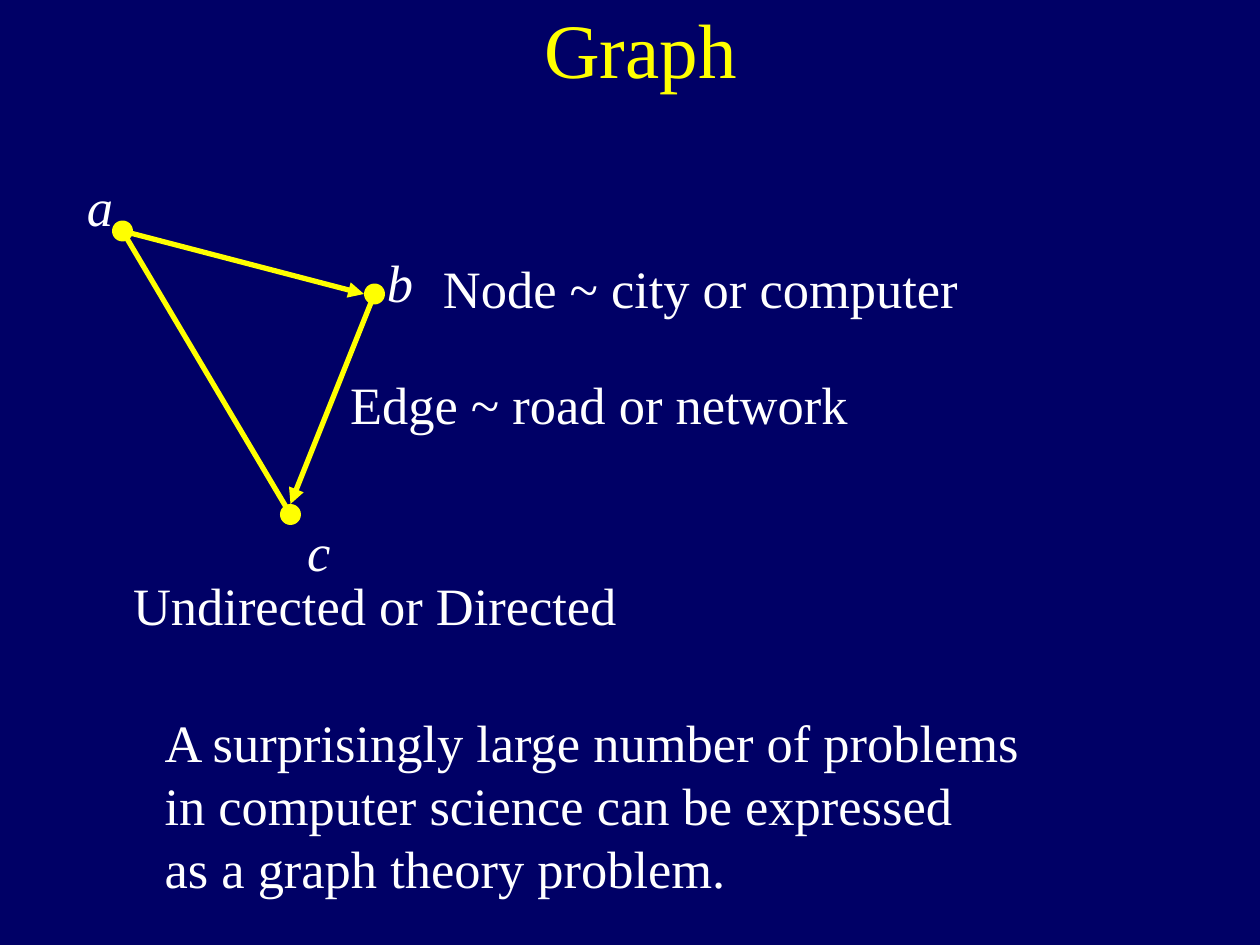
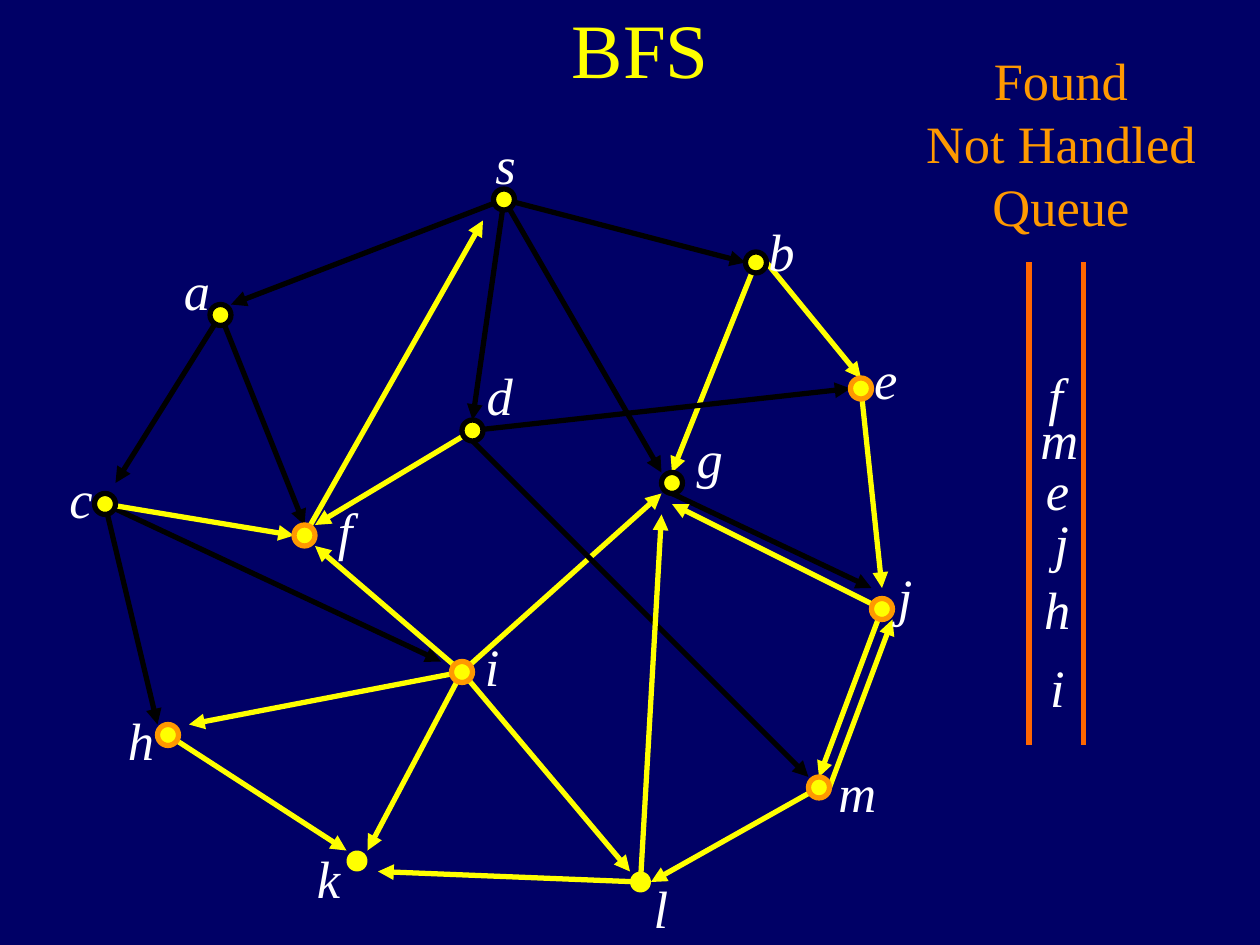
from lxml import etree
from pptx import Presentation
from pptx.dml.color import RGBColor
from pptx.enum.shapes import MSO_CONNECTOR, MSO_SHAPE
from pptx.enum.text import MSO_ANCHOR, PP_ALIGN
from pptx.oxml.ns import qn
from pptx.util import Pt

NAVY = RGBColor(0x00, 0x00, 0x66)
YELLOW = RGBColor(0xFF, 0xFF, 0x00)
WHITE = RGBColor(0xFF, 0xFF, 0xFF)
BLACK = RGBColor(0x00, 0x00, 0x00)
ORANGE = RGBColor(0xFF, 0x99, 0x00)
DARK_ORANGE = RGBColor(0xFF, 0x66, 0x00)

FONT = "Times New Roman"
RADIUS = 6
LABEL_WIDTHS = {"s": 26, "m": 36} | dict.fromkeys("abdgh", 29.4)
LABEL_WIDTHS |= dict.fromkeys("cek", 27.6) | dict.fromkeys("fijl", 22.5)


def add_text(slide, text, left, top, width, height=43.2, size=30, color=WHITE,
             italic=False, align=PP_ALIGN.LEFT, wrap=False):
    frame = slide.shapes.add_textbox(Pt(left), Pt(top), Pt(width), Pt(height)).text_frame
    frame.word_wrap = wrap
    frame.vertical_anchor = MSO_ANCHOR.MIDDLE if wrap else MSO_ANCHOR.TOP
    paragraph = frame.paragraphs[0]
    paragraph.text = text
    paragraph.alignment = align
    if not wrap:
        paragraph.line_spacing = Pt(1.2 * size)
    font = paragraph.font
    font.name, font.size, font.italic = FONT, Pt(size), italic
    font.color.rgb = color


def add_line(slide, start, end, color, arrow=False):
    line = slide.shapes.add_connector(
        MSO_CONNECTOR.STRAIGHT, *(Pt(value) for value in (*start, *end)))
    line.line.color.rgb = color
    line.line.width = Pt(3)
    if arrow:
        etree.SubElement(line.line._get_or_add_ln(), qn("a:tailEnd"), type="triangle")
    etree.SubElement(line._element.spPr, qn("a:effectLst"))


# Nodes: centre, ring colour, top left of the label.
# Edges: from, to, colour, arrow, offset of the end and of the start from the node centre.
intro_nodes = {
    "a": ((70, 132), None, (42.5, 96)),
    "b": ((214, 168), None, (214, 139.5)),
    "c": ((166, 294), None, (168.5, 293)),
}
intro_edges = [
    ("a", "c", YELLOW, False, (0, 0), (0, 0)),
    ("a", "b", YELLOW, True, (-6, 0), (0, 0)),
    ("b", "c", YELLOW, True, (0, -6), (0, 0)),
]
bfs_nodes = {
    "s": ((288, 114), BLACK, (276, 72)),
    "a": ((126, 180), BLACK, (98, 144)),
    "b": ((432, 150), BLACK, (432, 121.5)),
    "c": ((60, 288), BLACK, (32.5, 263)),
    "d": ((270, 246), BLACK, (271, 204)),
    "e": ((492, 222), ORANGE, (492.5, 195)),
    "f": ((174, 306), ORANGE, (186, 281)),
    "g": ((384, 276), BLACK, (391, 240)),
    "h": ((96, 420), ORANGE, (66, 401)),
    "i": ((264, 384), ORANGE, (270, 358.5)),
    "j": ((504, 348), ORANGE, (506, 319)),
    "k": ((204, 492), None, (174, 480)),
    "l": ((366, 504), None, (366.5, 497)),
    "m": ((468, 450), ORANGE, (472, 430.5)),
}
bfs_edges = [
    ("s", "a", BLACK, True, (6, -6), (0, 0)),
    ("s", "d", BLACK, True, (0, -6), (0, 0)),
    ("s", "g", BLACK, True, (-6, -6), (0, 0)),
    ("s", "b", BLACK, True, (-6, 0), (0, 0)),
    ("b", "g", YELLOW, True, (0, -6), (0, 0)),
    ("i", "g", YELLOW, True, (-6, 6), (0, 0)),
    ("d", "e", BLACK, True, (-6, 0), (0, 0)),
    ("b", "e", YELLOW, True, (0, -6), (6, 0)),
    ("g", "j", BLACK, True, (-6, -12), (0, 6)),
    ("e", "j", YELLOW, True, (0, -12), (0, 0)),
    ("d", "m", BLACK, True, (-6, -6), (0, 6)),
    ("d", "f", YELLOW, True, (6, -6), (0, 0)),
    ("a", "f", BLACK, True, (0, -6), (0, 0)),
    ("a", "c", BLACK, True, (6, -12), (0, 0)),
    ("c", "i", BLACK, True, (-12, -6), (0, 0)),
    ("i", "k", YELLOW, True, (6, -6), (0, 0)),
    ("i", "l", YELLOW, True, (-6, -6), (0, 0)),
    ("i", "h", YELLOW, True, (12, -6), (0, 0)),
    ("m", "l", YELLOW, True, (6, 0), (0, 0)),
    ("m", "j", YELLOW, True, (6, 6), (6, 0)),
    ("j", "g", YELLOW, True, (0, 12), (0, 0)),
    ("i", "f", YELLOW, True, (6, 6), (0, 0)),
    ("j", "m", YELLOW, True, (0, -6), (0, 0)),
    ("l", "g", YELLOW, True, (-6, 18), (0, 0)),
    ("l", "k", YELLOW, True, (12, 6), (0, 0)),
    ("f", "s", YELLOW, True, (-12, 12), (0, 0)),
    ("h", "k", YELLOW, True, (-6, -6), (0, 0)),
    ("c", "h", BLACK, True, (-6, -6), (0, 0)),
    ("c", "f", YELLOW, True, (-6, 0), (0, 0)),
]

prs = Presentation()
prs.slide_width, prs.slide_height = Pt(720), Pt(540)

for title, nodes, edges in [("Graph", intro_nodes, intro_edges), ("BFS", bfs_nodes, bfs_edges)]:
    slide = prs.slides.add_slide(prs.slide_layouts[6])
    slide.background.fill.solid()
    slide.background.fill.fore_color.rgb = NAVY
    add_text(slide, title, 60, -18, 612, 90, size=44, color=YELLOW,
             align=PP_ALIGN.CENTER, wrap=True)

    for source, target, color, arrow, end_offset, start_offset in edges:
        (x1, y1), (x2, y2) = nodes[source][0], nodes[target][0]
        add_line(slide, (x1 + start_offset[0], y1 + start_offset[1]),
                 (x2 + end_offset[0], y2 + end_offset[1]), color, arrow)

    for letter, ((x, y), ring, label_corner) in nodes.items():
        dot = slide.shapes.add_shape(MSO_SHAPE.OVAL, Pt(x - RADIUS), Pt(y - RADIUS),
                                     Pt(2 * RADIUS), Pt(2 * RADIUS))
        dot.shadow.inherit = False
        dot.fill.solid()
        dot.fill.fore_color.rgb = YELLOW
        if ring is None:
            dot.line.fill.background()
        else:
            dot.line.color.rgb = ring
            dot.line.width = Pt(3)
        add_text(slide, letter, *label_corner, LABEL_WIDTHS[letter], italic=True)

intro, bfs = prs.slides

# Meaning of the graph
add_text(intro, "Node ~ city or computer", 246, 142.5, 309)
add_text(intro, "Edge ~ road or network", 193, 209, 299)
add_text(intro, "Undirected or Directed", 69, 324, 291)
add_text(intro, "A surprisingly large number of problems\v"
                "in computer science can be expressed\v"
                "as a graph theory problem.", 87, 402, 513, 115.2)

# Queue of found nodes
add_text(bfs, "Found\vNot Handled\vQueue", 522, 24, 168.5, 115.2,
         color=ORANGE, align=PP_ALIGN.CENTER)
for rail_x in (588, 619):
    add_line(bfs, (rail_x, 150), (rail_x, 426), DARK_ORANGE)
for letter, left, top in [("f", 592, 204), ("m", 587.5, 229), ("e", 590.5, 258),
                          ("j", 595.5, 288), ("h", 589.5, 326), ("i", 593, 371)]:
    add_text(bfs, letter, left, top, LABEL_WIDTHS[letter], italic=True)

prs.save("out.pptx")
